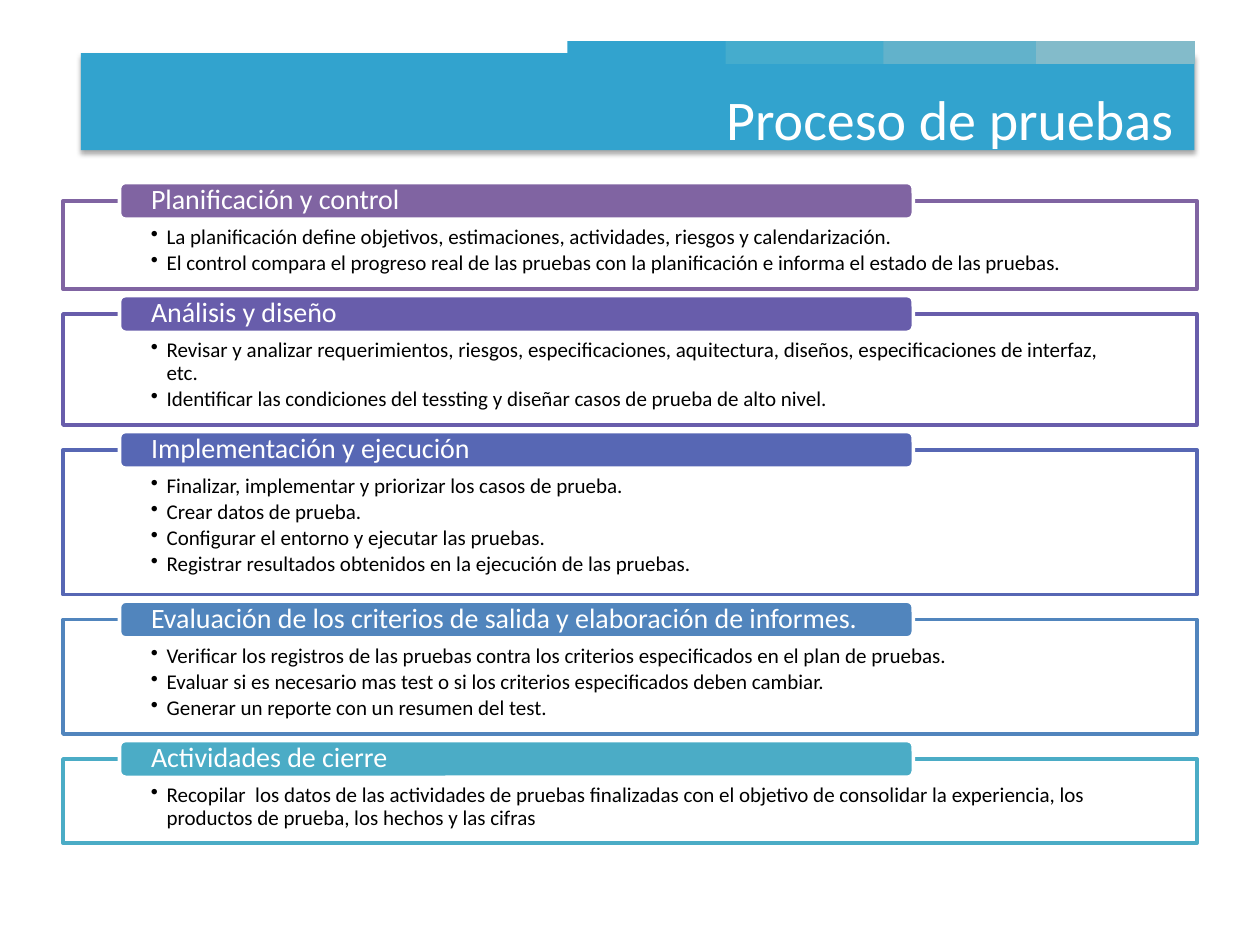
from lxml import etree
from pptx import Presentation
from pptx.dml.color import RGBColor
from pptx.enum.shapes import MSO_SHAPE
from pptx.enum.text import MSO_ANCHOR, PP_ALIGN
from pptx.oxml.ns import qn
from pptx.util import Cm, Pt

RECT, ROUND = MSO_SHAPE.RECTANGLE, MSO_SHAPE.ROUNDED_RECTANGLE
TOP, MIDDLE = MSO_ANCHOR.TOP, MSO_ANCHOR.MIDDLE
LEFT, JUSTIFY = PP_ALIGN.LEFT, PP_ALIGN.JUSTIFY

COLORS = {
    "white": "FFFFFF", "black": "000000", "band": "32A3CE",
    "tab1": "32A3CE", "tab2": "45ACCD", "tab3": "62B2CB", "tab4": "83BBCA",
    "plan": "8064A2", "design": "685DAB", "run": "5767B4",
    "report": "5185BD", "close": "4BACC6",
}
FONT = "Calibri"
HEADER_TABS = [("tab1", 9.81), ("tab2", 13), ("tab3", 16.18), ("tab4", 19.26)]
PHASE_GAP = 0.5
PHASES = [
    ("plan", 1.78, "Planificación y control", [
        "La planificación define objetivos, estimaciones, actividades, riesgos y calendarización.",
        "El control compara el progreso real de las pruebas con la planificación e informa el estado de las pruebas.",
    ]),
    ("design", 2.24, "Análisis y diseño", [
        "Revisar y analizar requerimientos, riesgos, especificaciones, aquitectura, diseños, especificaciones de interfaz, etc.",
        "Identificar las condiciones del tessting y diseñar casos de prueba de alto nivel.",
    ]),
    ("run", 2.92, "Implementación y ejecución", [
        "Finalizar, implementar y priorizar los casos de prueba.",
        "Crear datos de prueba.",
        "Configurar el entorno y ejecutar las pruebas.",
        "Registrar resultados obtenidos en la ejecución de las pruebas.",
    ]),
    ("report", 2.31, "Evaluación de los criterios de salida y elaboración de informes.", [
        "Verificar los registros de las pruebas contra los criterios especificados en el plan de pruebas.",
        "Evaluar si es necesario mas test o si los criterios especificados deben cambiar.",
        "Generar un reporte con un resumen del test.",
    ]),
    ("close", 1.7, "Actividades de cierre", [
        "Recopilar  los datos de las actividades de pruebas finalizadas con el objetivo de consolidar la experiencia, los productos de prueba, los hechos y las cifras",
    ]),
]
TITLE_FRAME = {"word_wrap": True}
PANEL_FRAME = {
    "word_wrap": True, "vertical_anchor": TOP, "margin_left": Cm(1.77),
    "margin_right": Cm(1.77), "margin_top": Cm(0.52), "margin_bottom": Cm(0.23),
}
LABEL_FRAME = {
    "word_wrap": True, "vertical_anchor": MIDDLE, "margin_left": Cm(0.6),
    "margin_right": Cm(0.6), "margin_top": 0, "margin_bottom": 0,
}
TITLE_PARA = {"alignment": JUSTIFY}
PANEL_PARA = {"alignment": LEFT, "line_spacing": 0.9, "space_after": Pt(1.8)}
LABEL_PARA = {"alignment": LEFT, "line_spacing": 0.9}


def set_attrs(obj, values):
    for name, value in values.items():
        setattr(obj, name, value)


def rgb(key):
    return RGBColor.from_string(COLORS[key])


def add_box(slide, kind, left, top, width, height, fill, line=None):
    sp = slide.shapes.add_shape(kind, Cm(left), Cm(top), Cm(width), Cm(height))
    sp.shadow.inherit = False
    sp.fill.solid()
    sp.fill.fore_color.rgb = rgb(fill)
    if line:
        sp.line.color.rgb = rgb(line)
        sp.line.width = Pt(2)
    else:
        sp.line.fill.background()
    return sp


def add_alpha(color, percent):
    etree.SubElement(color, qn("a:alpha"), val=str(percent * 1000))


def add_shadow(sp):
    effects = sp._element.spPr.find(qn("a:effectLst"))
    shadow = etree.SubElement(
        effects, qn("a:outerShdw"), blurRad=str(Pt(3.1)), dist=str(Pt(1.8)),
        dir="5400000", algn="t", rotWithShape="0")
    color = etree.SubElement(shadow, qn("a:srgbClr"), val=COLORS["black"])
    add_alpha(color, 35)


def set_indent(p, size):
    pPr = p._p.get_or_add_pPr()
    pPr.set("marL", str(Cm(size)))
    pPr.set("indent", str(-Cm(size)))
    return pPr


def add_bullet(p):
    pPr = set_indent(p, 0.32)
    etree.SubElement(pPr, qn("a:buChar"), char="•")


def write(sp, lines, size, color, frame, para, bullets=False):
    tf = sp.text_frame
    set_attrs(tf, frame)
    for i, line in enumerate(lines):
        p = tf.add_paragraph() if i else tf.paragraphs[0]
        set_attrs(p, para)
        if bullets:
            add_bullet(p)
        r = p.add_run()
        r.text = line
        set_attrs(r.font, {"name": FONT, "size": Pt(size)})
        r.font.color.rgb = rgb(color)
    return tf


def add_header(slide, left, top, width, height, title):
    band = add_box(slide, RECT, left, top, width, height, "band")
    add_shadow(band)
    for color, offset in HEADER_TABS:
        add_box(slide, RECT, left + offset, top - 0.24, 3.2, 0.46, color)
    sp = slide.shapes.add_textbox(
        Cm(left + 12.76), Cm(top + 0.51), Cm(9.75), Cm(1.62))
    tf = write(sp, [title], 32, "white", TITLE_FRAME, TITLE_PARA)
    set_indent(tf.paragraphs[0], 0.48)


def add_phase(slide, left, top, width, height, color, label, items):
    panel = add_box(slide, RECT, left, top, width, height, "white", color)
    add_alpha(panel._element.spPr.find(qn("a:solidFill"))[0], 90)
    write(panel, items, 12, "black", PANEL_FRAME, PANEL_PARA, bullets=True)
    tab = add_box(slide, ROUND, left + 1.14, top - 0.37, width * 0.7, 0.74, color, "white")
    write(tab, [label], 16, "white", LABEL_FRAME, LABEL_PARA)


def main():
    prs = Presentation()
    prs.slide_width, prs.slide_height = Cm(25.4), Cm(19.05)
    slide = prs.slides.add_slide(prs.slide_layouts[6])
    add_header(slide, 1.63, 1.07, 22.45, 1.96, "Proceso de pruebas")
    top = 4.05
    for color, height, label, items in PHASES:
        add_phase(slide, 1.27, top, 22.86, height, color, label, items)
        top += height + PHASE_GAP
    prs.save("out.pptx")


if __name__ == "__main__":
    main()
